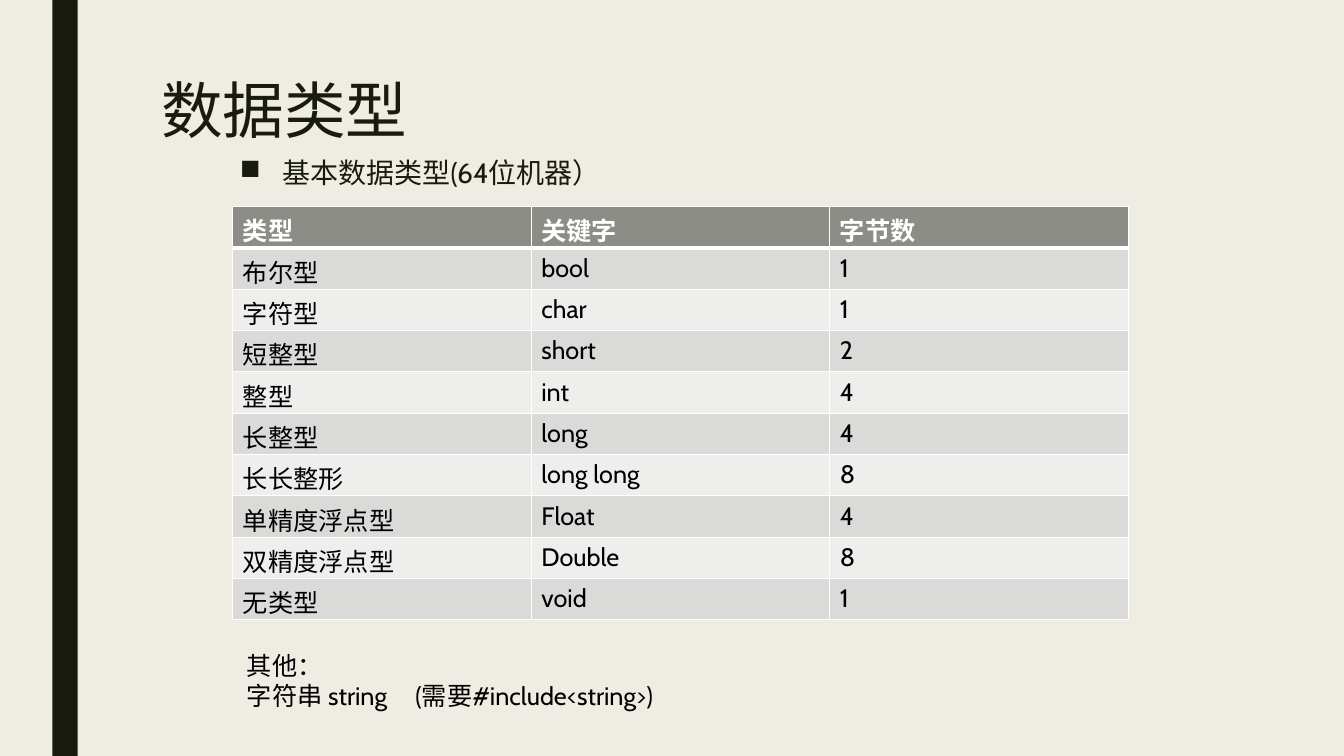
from dataclasses import dataclass

from lxml import etree
from pptx import Presentation
from pptx.dml.color import RGBColor
from pptx.enum.shapes import MSO_SHAPE
from pptx.oxml.ns import qn
from pptx.util import Inches, Pt

RECTANGLE = MSO_SHAPE.RECTANGLE


@dataclass(frozen=True)
class Theme:
    font: str = "Cabin"
    background: str = "EFEDE3"
    ink: str = "191B0E"
    black: str = "000000"
    white: str = "FFFFFF"
    header: str = "8C8D86"
    bands: tuple = ("DADBD9", "EEEEED")
    title_size: int = 44
    body_size: int = 20
    text_size: int = 18


class SlideBuilder:
    def __init__(self, page, theme):
        self.page = page
        self.theme = theme
        self.paint(page.background.fill, theme.background)

    def paint(self, fill, color):
        fill.solid()
        fill.fore_color.rgb = RGBColor.from_string(color)

    def style(self, para, size, color, bold=False):
        para.font.name = self.theme.font
        para.font.size = Pt(size)
        para.font.bold = bold
        para.font.color.rgb = RGBColor.from_string(color)

    def bar(self, left, top, width, height, color):
        shape = self.page.shapes.add_shape(
            RECTANGLE, Inches(left), Inches(top), Inches(width), Inches(height))
        shape.shadow.inherit = False
        self.paint(shape.fill, color)
        shape.line.fill.background()

    def text(self, left, top, width, height, lines, size, color):
        box = self.page.shapes.add_textbox(
            Inches(left), Inches(top), Inches(width), Inches(height))
        frame = box.text_frame
        frame.word_wrap = True
        frame.text = "\n".join(lines)
        for para in frame.paragraphs:
            self.style(para, size, color)
        return frame.paragraphs

    def bullet(self, para, mark, indent):
        properties = para._p.get_or_add_pPr()
        properties.set("marL", str(Inches(indent)))
        properties.set("indent", str(-Inches(indent)))
        etree.SubElement(properties, qn("a:buChar"), char=mark)

    def tab_stop(self, para, position):
        stops = etree.SubElement(para._p.get_or_add_pPr(), qn("a:tabLst"))
        etree.SubElement(stops, qn("a:tab"), pos=str(Inches(position)), algn="l")

    def border(self, cell, side, width):
        line = etree.SubElement(
            cell._tc.get_or_add_tcPr(), qn(f"a:ln{side}"), w=str(Pt(width)))
        fill = etree.SubElement(line, qn("a:solidFill"))
        etree.SubElement(fill, qn("a:srgbClr"), val=self.theme.white)

    def cell(self, cell, value, row):
        theme = self.theme
        is_header = row == 0
        for side in "LRTB":
            meets_header = (row, side) in ((0, "B"), (1, "T"))
            self.border(cell, side, 3 if meets_header else 1)
        self.paint(cell.fill, theme.header if is_header else theme.bands[(row - 1) % 2])
        cell.text = value
        self.style(cell.text_frame.paragraphs[0], theme.text_size,
                   theme.white if is_header else theme.black, is_header)

    def table(self, left, top, column_width, row_height, records):
        columns = len(records[0])
        table = self.page.shapes.add_table(
            len(records), columns, Inches(left), Inches(top),
            Inches(column_width * columns), Inches(row_height * len(records))).table
        for column in table.columns:
            column.width = Inches(column_width)
        for row, record in enumerate(records):
            table.rows[row].height = Inches(row_height)
            for column, value in enumerate(record):
                self.cell(table.cell(row, column), value, row)


DATA_TYPES = [
    ("类型", "关键字", "字节数"),
    ("布尔型", "bool", "1"),
    ("字符型", "char", "1"),
    ("短整型", "short", "2"),
    ("整型", "int", "4"),
    ("长整型", "long", "4"),
    ("长长整形", "long long", "8"),
    ("单精度浮点型", "Float", "4"),
    ("双精度浮点型", "Double", "8"),
    ("无类型", "void", "1"),
]

deck = Presentation()
deck.slide_width = Inches(13.33)
deck.slide_height = Inches(7.5)
theme = Theme()
slide = SlideBuilder(deck.slides.add_slide(deck.slide_layouts[6]), theme)

slide.bar(0.52, 0, 0.25, 7.5, theme.ink)

title = slide.text(1.5, 0.75, 10.5, 1.62, ["数据类型"], theme.title_size, theme.ink)[0]
title.line_spacing = 0.89

subtitle = slide.text(2.28, 1.52, 8.62, 3.85, ["基本数据类型(64位机器）"],
                      theme.body_size, theme.ink)[0]
subtitle.line_spacing = 0.94
subtitle.space_before = Pt(10)
subtitle.space_after = Pt(2)
slide.bullet(subtitle, "■", 0.42)

others = slide.text(2.35, 6.4, 8.62, 0.71,
                    ["其他：", "字符串 string\t(需要#include<string>)"],
                    theme.text_size, theme.black)
slide.tab_stop(others[1], 1.67)

slide.table(2.31, 2.05, 2.96, 0.41, DATA_TYPES)

deck.save("out.pptx")
